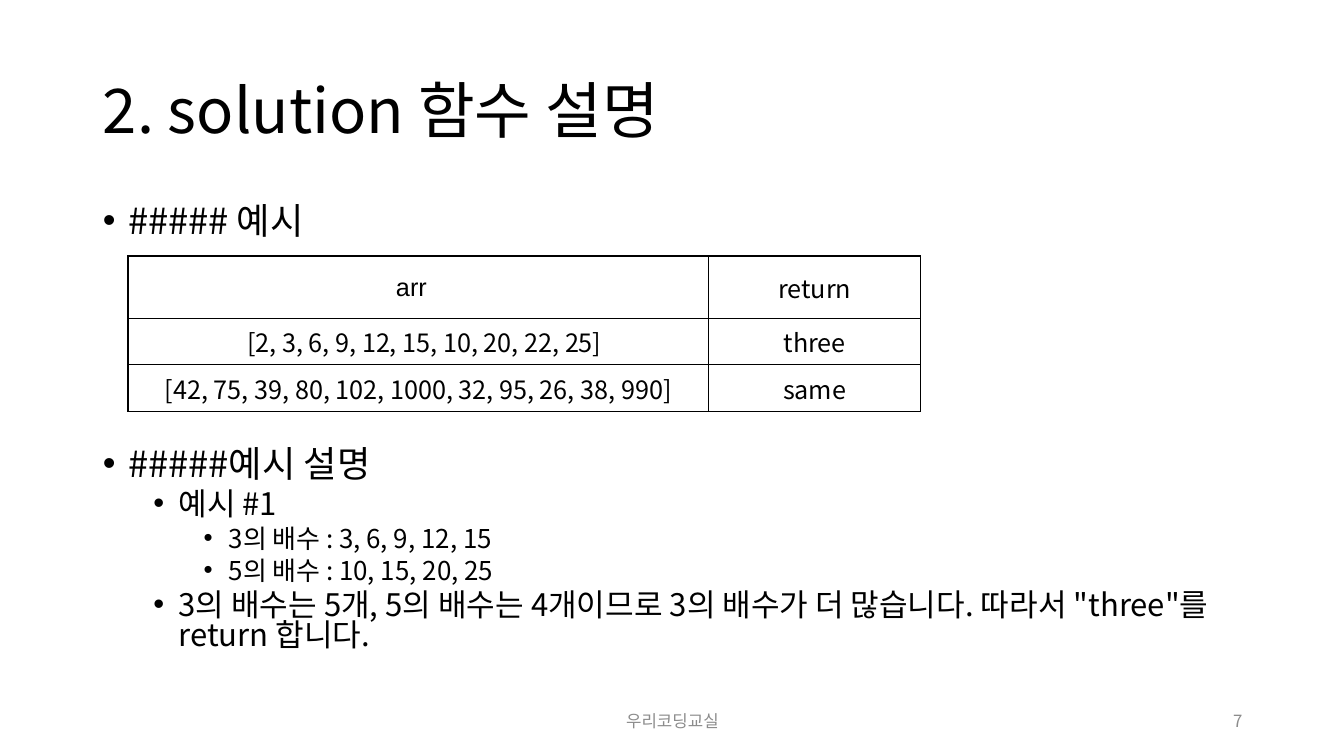
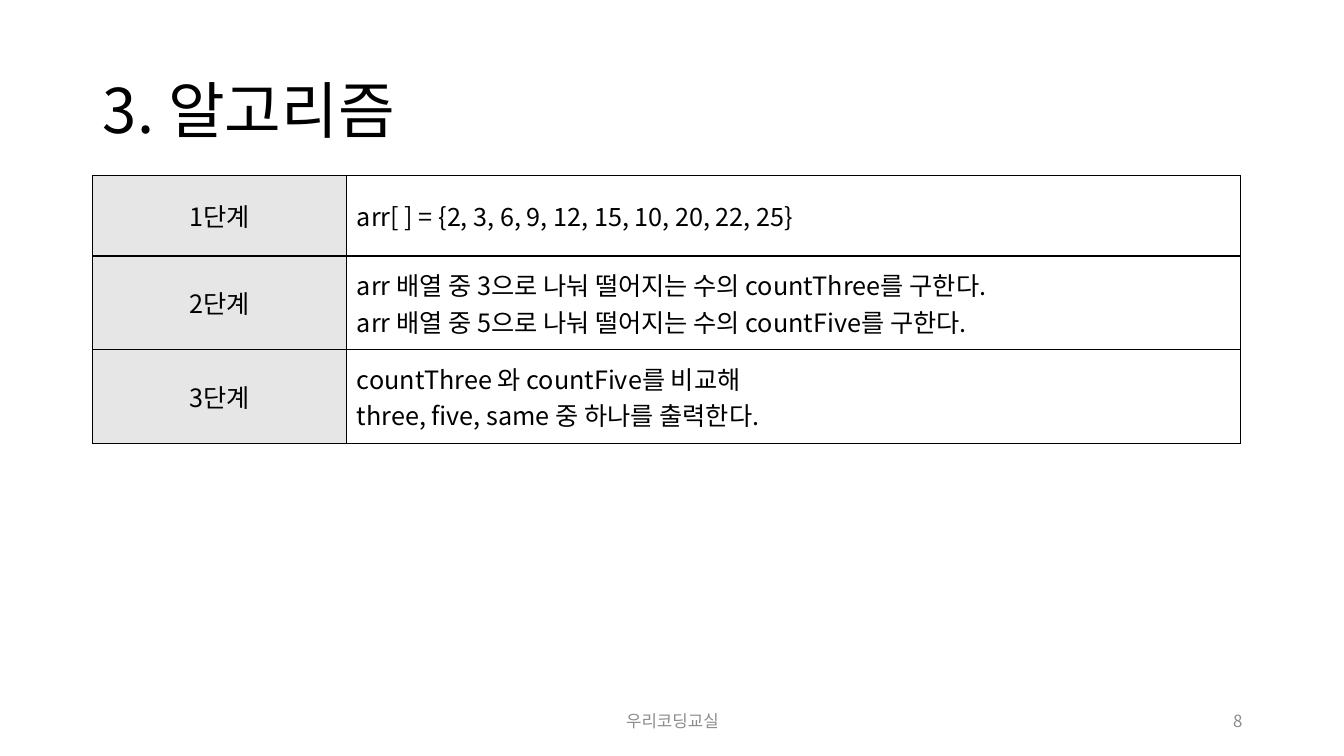
from lxml.etree import SubElement
from pptx import Presentation
from pptx.dml.color import RGBColor
from pptx.enum.text import MSO_ANCHOR, MSO_AUTO_SIZE, PP_ALIGN
from pptx.oxml.ns import qn
from pptx.util import Inches, Pt

BLACK = RGBColor(0x00, 0x00, 0x00)
GRAY = RGBColor(0x8C, 0x8C, 0x8C)
LIGHT = RGBColor(0xE7, 0xE6, 0xE6)
FONT = "Noto Sans CJK KR"
FOOTER = "우리코딩교실"
LEFT, CENTER, RIGHT = PP_ALIGN.LEFT, PP_ALIGN.CENTER, PP_ALIGN.RIGHT


def write(p, text, size=18, color=BLACK, font=FONT, align=LEFT, spacing=None,
          before=0, level=None):
    """Fill a paragraph; a level gives it a bullet and an indent."""
    if level is not None:
        p.level = level
        pPr = p._p.get_or_add_pPr()
        pPr.set("marL", str(Inches(0.25 + 0.5 * level)))
        pPr.set("indent", str(-Inches(0.25)))
        SubElement(pPr, qn("a:buFont"), typeface="Arial")
        SubElement(pPr, qn("a:buChar"), char="•")
    p.alignment = align
    p.space_before = Pt(before)
    if spacing:
        p.line_spacing = spacing
    r = p.add_run()
    r.text = text
    r.font.size = Pt(size)
    r.font.name = font
    r.font.color.rgb = color
    SubElement(r._r.get_or_add_rPr(), qn("a:ea"), typeface=FONT)


def add_grid(s, left, top, widths, heights, rows, aligns, fills):
    """Add a bordered table; aligns and fills go by column."""
    table = s.shapes.add_table(
        len(rows), len(widths), Inches(left), Inches(top),
        Inches(sum(widths)), Inches(sum(heights))).table
    table.first_row = table.horz_banding = False
    for column, width in zip(table.columns, widths):
        column.width = Inches(width)
    for i, (height, row) in enumerate(zip(heights, rows)):
        table.rows[i].height = Inches(height)
        for j, text in enumerate(row):
            cell = table.cell(i, j)
            cell.vertical_anchor = MSO_ANCHOR.MIDDLE
            tcPr = cell._tc.get_or_add_tcPr()
            for side in ("lnL", "lnR", "lnT", "lnB"):
                ln = SubElement(tcPr, qn("a:" + side), w=str(Pt(1)))
                solid = SubElement(ln, qn("a:solidFill"))
                SubElement(solid, qn("a:srgbClr"), val=str(BLACK))
            if fills[j] is None:
                cell.fill.background()
            else:
                cell.fill.solid()
                cell.fill.fore_color.rgb = fills[j]
            tf = cell.text_frame
            for n, line in enumerate(text.split("\n")):
                p = tf.add_paragraph() if n else tf.paragraphs[0]
                write(p, line, align=aligns[j],
                      font="Arial" if line == "arr" else FONT)
    return table


prs = Presentation()
prs.slide_width, prs.slide_height = Inches(13.33), Inches(7.5)
TITLE_AND_CONTENT, TITLE_ONLY = prs.slide_layouts[1], prs.slide_layouts[5]

# Shared title, footer and page number
slides = []
for number, layout, title in [(7, TITLE_AND_CONTENT, "2. solution 함수 설명"),
                              (8, TITLE_ONLY, "3. 알고리즘")]:
    s = prs.slides.add_slide(layout)
    slides.append(s)
    sp = s.shapes.title
    sp.left, sp.top, sp.width, sp.height = map(Inches, (0.92, 0.4, 11.5, 1.45))
    tf = sp.text_frame
    tf.auto_size = MSO_AUTO_SIZE.NONE
    tf.vertical_anchor = MSO_ANCHOR.MIDDLE
    write(tf.paragraphs[0], title, size=44, spacing=0.9)
    for left, width, text, align in [(4.42, 4.5, FOOTER, CENTER),
                                     (9.42, 3, str(number), RIGHT)]:
        sp = s.shapes.add_textbox(Inches(left), Inches(6.95), Inches(width), Inches(0.4))
        tf = sp.text_frame
        tf.word_wrap = True
        tf.vertical_anchor = MSO_ANCHOR.MIDDLE
        write(tf.paragraphs[0], text, size=12, color=GRAY, align=align)

function_slide, algorithm_slide = slides

# Function description: bullets above and below the example table
sp = function_slide.placeholders[1]
sp.left, sp.top, sp.width, sp.height = map(Inches, (0.92, 2, 11.5, 4.76))
tf = sp.text_frame
tf.auto_size = MSO_AUTO_SIZE.NONE
SIZES = (25.9, 22.2, 18.5)
bullets = [
    (0, 0, "##### 예시"),
    (0, 149, "#####예시 설명"),
    (1, 5, "예시 #1"),
    (2, 5, "3의 배수 : 3, 6, 9, 12, 15"),
    (2, 5, "5의 배수 : 10, 15, 20, 25"),
    (1, 5, "3의 배수는 5개, 5의 배수는 4개이므로 3의 배수가 더 많습니다. "
           "따라서 \"three\"를 return 합니다."),
]
for n, (level, before, text) in enumerate(bullets):
    p = tf.add_paragraph() if n else tf.paragraphs[0]
    write(p, text, size=SIZES[level], spacing=0.8, before=before, level=level)

examples = add_grid(
    function_slide, 1.27, 2.54, (5.76, 2.1), (0.62, 0.46, 0.46),
    [("arr", "return"),
     ("[2, 3, 6, 9, 12, 15, 10, 20, 22, 25]", "three"),
     ("[42, 75, 39, 80, 102, 1000, 32, 95, 26, 38, 990]", "same")],
    (CENTER, CENTER), (None, None))
examples.cell(0, 0).margin_right = Inches(0.24)
examples.cell(1, 0).margin_left = Inches(0.22)

# Algorithm steps
add_grid(
    algorithm_slide, 0.92, 1.74, (2.52, 8.86), (0.8, 0.93, 0.93),
    [("1단계", "arr[ ] = {2, 3, 6, 9, 12, 15, 10, 20, 22, 25}"),
     ("2단계", "arr 배열 중 3으로 나눠 떨어지는 수의 countThree를 구한다.\n"
               "arr 배열 중 5으로 나눠 떨어지는 수의 countFive를 구한다."),
     ("3단계", "countThree 와 countFive를 비교해\n"
               "three, five, same 중 하나를 출력한다.")],
    (CENTER, LEFT), (LIGHT, None))

prs.save("out.pptx")
